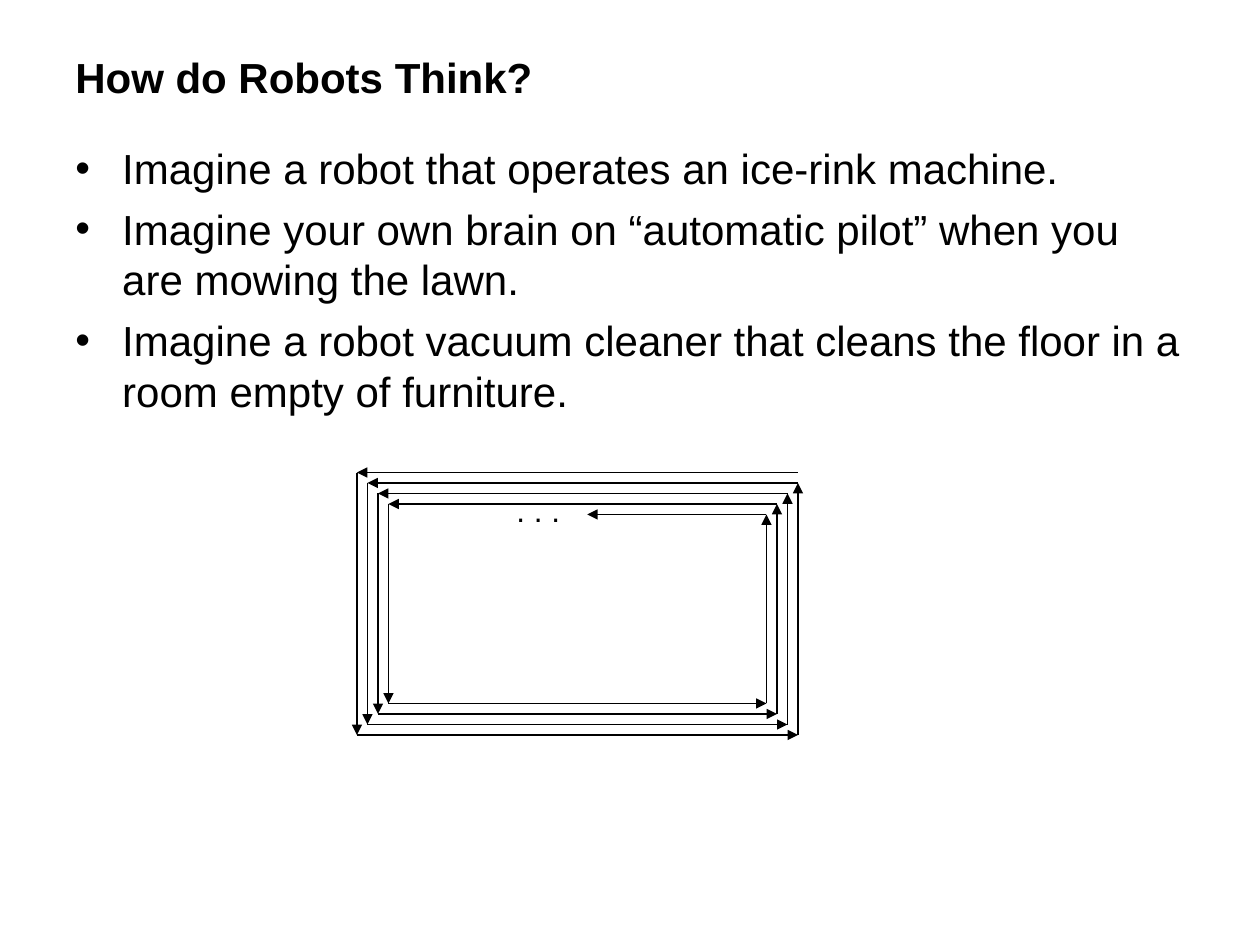
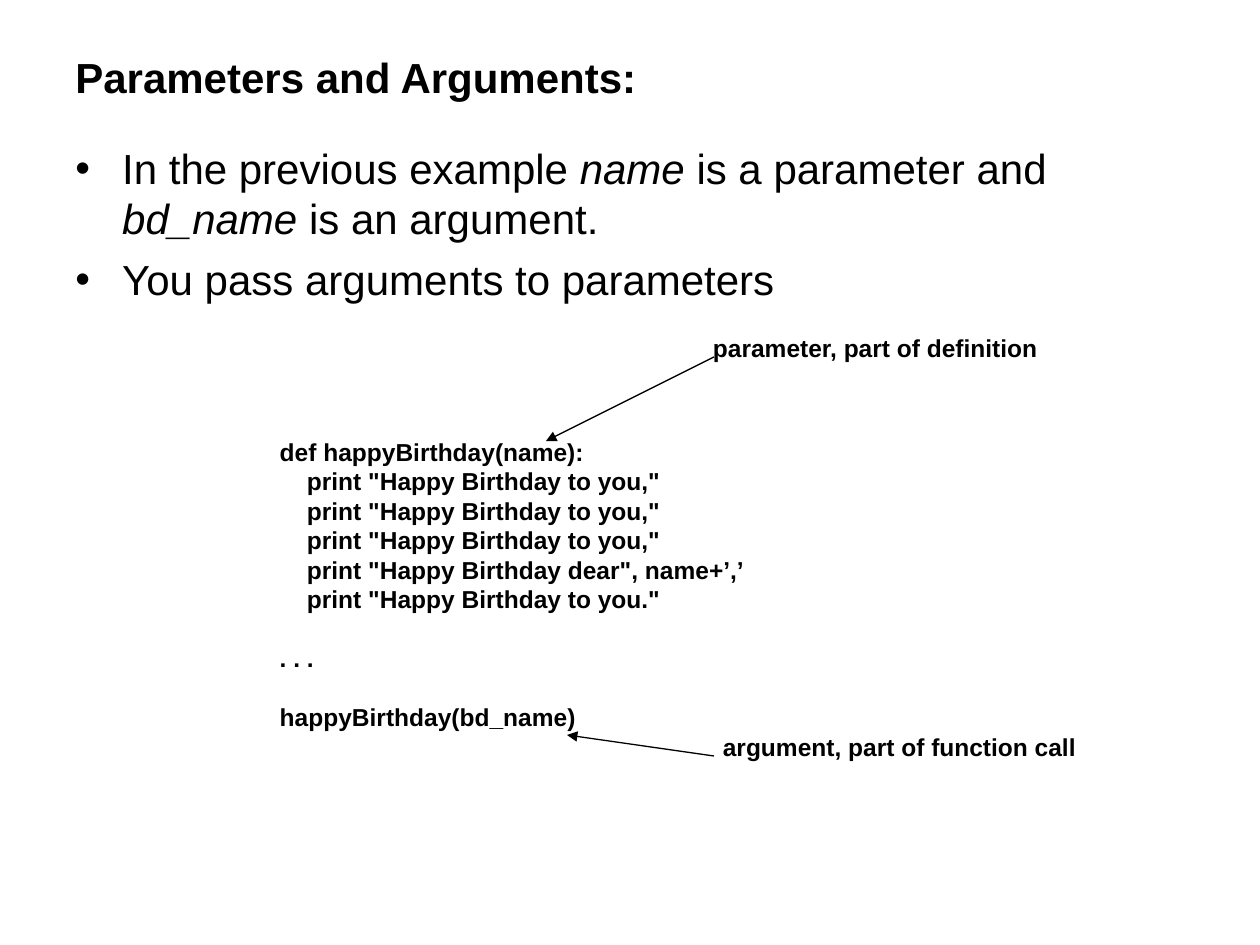
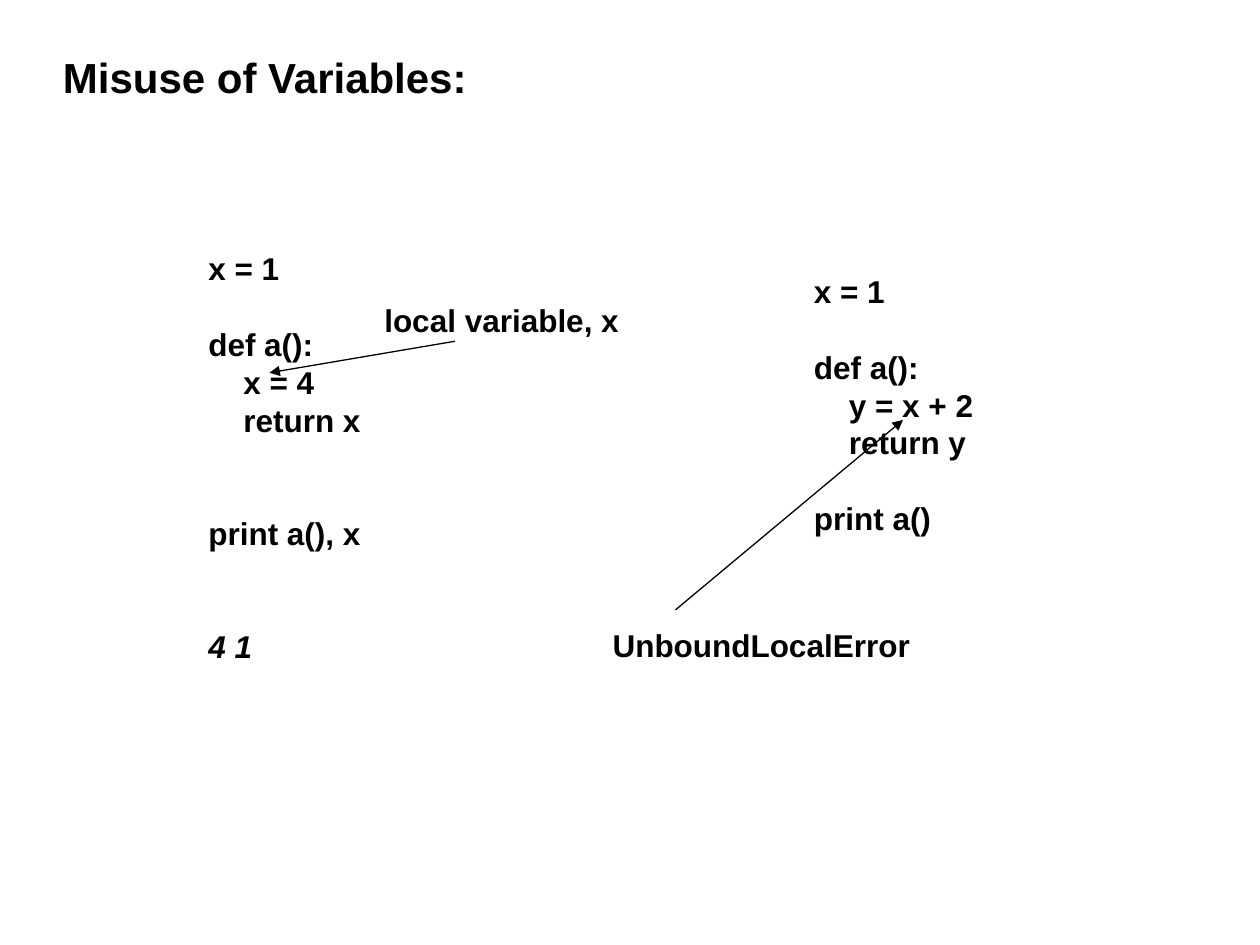
from dataclasses import dataclass
from itertools import pairwise

from lxml import etree
from pptx import Presentation
from pptx import util as u
from pptx.dml import color
from pptx.enum import shapes, text
from pptx.oxml import ns


@dataclass(frozen=True)
class Theme:
    """Colours, type sizes and measures shared by the slides, lengths in points."""

    font: str = "Arial"
    ink: color.RGBColor = color.RGBColor(0, 0, 0)
    heading: float = 24
    large: float = 18
    small: float = 14
    leading: float = 1.2
    line: float = 0.75
    inset_x: float = 7.2
    inset_y: float = 3.6
    indent: float = 26.8
    bullet_gap: float = 6


THEME = Theme()


def add_child(parent, tag, **attributes):
    """Append a DrawingML element to a parent element."""
    return etree.SubElement(parent, ns.qn(tag), attributes)


def add_runs(paragraph, marked_text, size, bold=False):
    """Fill a paragraph run by run, with text between asterisks in italics."""
    paragraph.line_spacing = u.Pt(round(size * THEME.leading, 2))
    for index, part in enumerate(marked_text.split("*")):
        if part:
            run = paragraph.add_run()
            run.text = part
            run.font.name = THEME.font
            run.font.size = u.Pt(size)
            run.font.bold = bold
            run.font.italic = index % 2 == 1
            run.font.color.rgb = THEME.ink


def add_frame(slide, left, top, width, height, wrap=True, inset_x=THEME.inset_x):
    """Add a text box and return its text frame."""
    box = slide.shapes.add_textbox(u.Pt(left), u.Pt(top), u.Pt(width), u.Pt(height))
    frame = box.text_frame
    frame.word_wrap = wrap
    frame.margin_left = frame.margin_right = u.Pt(inset_x)
    frame.margin_top = frame.margin_bottom = u.Pt(THEME.inset_y)
    return frame


def next_paragraph(frame, index):
    """Return the frame's own paragraph first and new ones after it."""
    return frame.add_paragraph() if index else frame.paragraphs[0]


def add_title(slide, title, inset_x=THEME.inset_x):
    """Add the bold slide title."""
    frame = add_frame(slide, 36, 21.6, 648, 44.6, inset_x=inset_x)
    frame.vertical_anchor = text.MSO_ANCHOR.MIDDLE
    add_runs(frame.paragraphs[0], title, THEME.heading, bold=True)


def add_bullets(slide, items):
    """Add the bulleted body text."""
    frame = add_frame(slide, 36, 77.8, 648, 404.6)
    for index, item in enumerate(items):
        paragraph = next_paragraph(frame, index)
        if index:
            paragraph.space_before = u.Pt(THEME.bullet_gap)
        add_runs(paragraph, item, THEME.heading)
        properties = paragraph._p.get_or_add_pPr()
        properties.set("marL", str(u.Pt(THEME.indent)))
        properties.set("indent", str(-u.Pt(THEME.indent)))
        bullet_color = add_child(properties, "a:buClr")
        add_child(bullet_color, "a:srgbClr", val=str(THEME.ink))
        add_child(properties, "a:buFont", typeface=THEME.font)
        add_child(properties, "a:buChar", char="•")


def add_lines(slide, left, top, width, height, lines, size, bold=True):
    """Add unwrapped lines of code or a label, turning empty lines into spacing."""
    frame = add_frame(slide, left, top, width, height, wrap=False)
    gap = 0
    for index, line in enumerate(lines):
        if not line:
            gap += size * THEME.leading
            continue
        paragraph = next_paragraph(frame, index)
        if gap:
            paragraph.space_before = u.Pt(round(gap, 2))
        add_runs(paragraph, line, size, bold)
        gap = 0


def add_arrow(slide, start, end):
    """Draw a thin arrow from start to end."""
    points = [u.Pt(value) for value in (*start, *end)]
    arrow = slide.shapes.add_connector(shapes.MSO_CONNECTOR.STRAIGHT, *points)
    arrow.line.color.rgb = THEME.ink
    arrow.line.width = u.Pt(THEME.line)
    add_child(arrow.line._get_or_add_ln(), "a:tailEnd", type="triangle")
    add_child(arrow._element.spPr, "a:effectLst")


def spiral_points(left, top, right, bottom, step, laps, end_x):
    """Return the corners of a counterclockwise path that winds inwards."""
    points = [(right, top)]
    for shift in range(0, laps * step, step):
        points += [
            (left + shift, top + shift),
            (left + shift, bottom - shift),
            (right - shift, bottom - shift),
            (right - shift, top + step + shift),
        ]
    return points + [(end_x, top + laps * step)]


def build_robot_slide(slide):
    """Show how a robot covers a floor."""
    add_title(slide, "How do Robots Think?")
    add_bullets(slide, [
        "Imagine a robot that operates an ice-rink machine.",
        "Imagine your own brain on “automatic pilot” when you are mowing the lawn.",
        "Imagine a robot vacuum cleaner that cleans the floor in a room empty of furniture.",
    ])
    corners = spiral_points(204, 270, 456, 420, step=6, laps=4, end_x=335.6)
    for start, end in pairwise(corners):
        add_arrow(slide, start, end)
    add_lines(slide, 288, 277.2, 46, 28.8, [". . ."], THEME.large, bold=False)


def build_parameter_slide(slide):
    """Contrast a parameter with an argument."""
    add_title(slide, "Parameters and Arguments:")
    add_bullets(slide, [
        "In the previous example *name* is a parameter and *bd_name* is an argument.",
        "You pass arguments to parameters",
    ])
    greeting = '    print "Happy Birthday to you,"'
    add_lines(slide, 152.8, 246.2, 288, 208.8, [
        "def happyBirthday(name):",
        *[greeting] * 3,
        '    print "Happy Birthday dear", name+’,’',
        '    print "Happy Birthday to you."',
        "",
        ". . .",
        "",
        "happyBirthday(bd_name)",
    ], THEME.small)
    add_lines(slide, 400.3, 186.8, 208, 24.5, ["parameter, part of definition"], THEME.small)
    add_arrow(slide, (408, 204), (312, 252))
    add_lines(slide, 406, 414.7, 224, 24.5, ["argument, part of function call"], THEME.small)
    add_arrow(slide, (408, 432), (324, 420))


def build_variable_slide(slide):
    """Show two programs that misuse a variable."""
    add_title(slide, "Misuse of Variables:", inset_x=0)
    opening = ["x = 1", "", "def a():"]
    add_lines(slide, 112, 139, 108, 244.8, [
        *opening, "    x = 4", "    return x", "", "", "print a(), x", "", "", "*4 1*",
    ], THEME.large)
    add_lines(slide, 212.5, 168.5, 156, 28.8, ["local variable, x"], THEME.large)
    add_arrow(slide, (260, 195), (154, 213))
    add_lines(slide, 458, 152, 112, 158.4, [
        *opening, "    y = x + 2", "    return y", "", "print a()",
    ], THEME.large)
    add_lines(slide, 343, 354.2, 196, 28.8, ["UnboundLocalError"], THEME.large)
    add_arrow(slide, (386, 348.5), (516, 240))


def main():
    """Build the presentation and save it."""
    presentation = Presentation()
    presentation.slide_width, presentation.slide_height = u.Pt(720), u.Pt(540)
    blank = presentation.slide_layouts[6]
    for build in (build_robot_slide, build_parameter_slide, build_variable_slide):
        build(presentation.slides.add_slide(blank))
    presentation.save("out.pptx")


if __name__ == "__main__":
    main()
